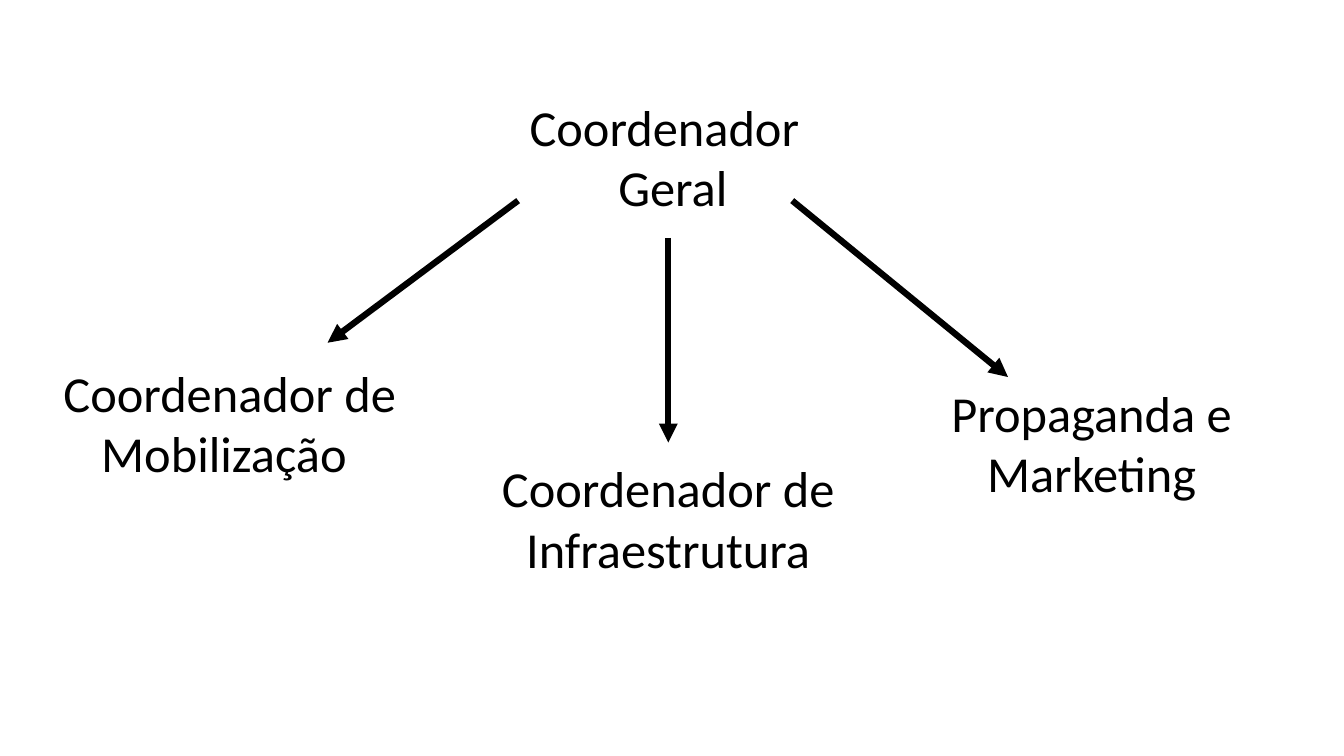
from dataclasses import dataclass

from lxml.etree import SubElement
from pptx import Presentation
from pptx.dml.color import RGBColor
from pptx.enum.shapes import MSO_CONNECTOR
from pptx.enum.text import MSO_AUTO_SIZE, PP_ALIGN
from pptx.oxml.ns import qn
from pptx.util import Pt


@dataclass(frozen=True)
class Theme:
    font: str = "Calibri"
    ink: RGBColor = RGBColor(0, 0, 0)
    label_size: float = 36
    space_size: float = 18
    arrow_width: float = 4.5


THEME = Theme()
SLIDE_WIDTH, SLIDE_HEIGHT = 960, 540
LABEL_HEIGHT = 94.3

# Left, top, width and wording of each team below the general coordinator
TEAMS = [
    (26.6, 254.9, 275, "Coordenador de Mobilização "),
    (651.6, 269.3, 256.3, "Propaganda e\nMarketing"),
    (314.6, 323.3, 325.4, "Coordenador de Infraestrutura"),
]

# Start and end of each arrow
ARROWS = [
    ((370.1, 143.3), (234, 244.8)),
    ((477.4, 169.9), (477.4, 316.1)),
    ((565.9, 143.3), (720, 269.3)),
]


def style_span(span, size):
    span.font.name = THEME.font
    span.font.size = Pt(size)
    span.font.color.rgb = THEME.ink


def add_label(page, left, top, width, text, wrap=True):
    box = page.shapes.add_textbox(Pt(left), Pt(top), Pt(width), Pt(LABEL_HEIGHT))
    frame = box.text_frame
    frame.text = text
    frame.word_wrap = wrap
    frame.auto_size = MSO_AUTO_SIZE.SHAPE_TO_FIT_TEXT
    for para in frame.paragraphs:
        para.alignment = PP_ALIGN.CENTER
        for span in para.runs:
            style_span(span, THEME.label_size)
    return frame


def add_arrow(page, start, end):
    arrow = page.shapes.add_connector(
        MSO_CONNECTOR.STRAIGHT, *(Pt(value) for value in start + end))
    arrow.line.color.rgb = THEME.ink
    arrow.line.width = Pt(THEME.arrow_width)
    properties = arrow.element.spPr
    SubElement(properties.find(qn("a:ln")), qn("a:tailEnd"), type="triangle")
    SubElement(properties, qn("a:effectLst"))


def add_organization(page, left, top):
    # Teams
    for team_left, team_top, width, text in TEAMS:
        add_label(page, left + team_left, top + team_top, width, text)

    # General coordinator, whose first line ends in a smaller space
    general = add_label(page, left + 370.1, top + 64.8, 213.1,
                        "Coordenador\n Geral", wrap=False)
    space = general.paragraphs[0].add_run()
    space.text = " "
    style_span(space, THEME.space_size)

    # Arrows from the general coordinator to the teams
    for start, end in ARROWS:
        add_arrow(page, (left + start[0], top + start[1]),
                  (left + end[0], top + end[1]))


def main():
    deck = Presentation()
    deck.slide_width, deck.slide_height = Pt(SLIDE_WIDTH), Pt(SLIDE_HEIGHT)
    page = deck.slides.add_slide(deck.slide_layouts[6])
    add_organization(page, 0, 0)
    deck.save("out.pptx")


if __name__ == "__main__":
    main()
